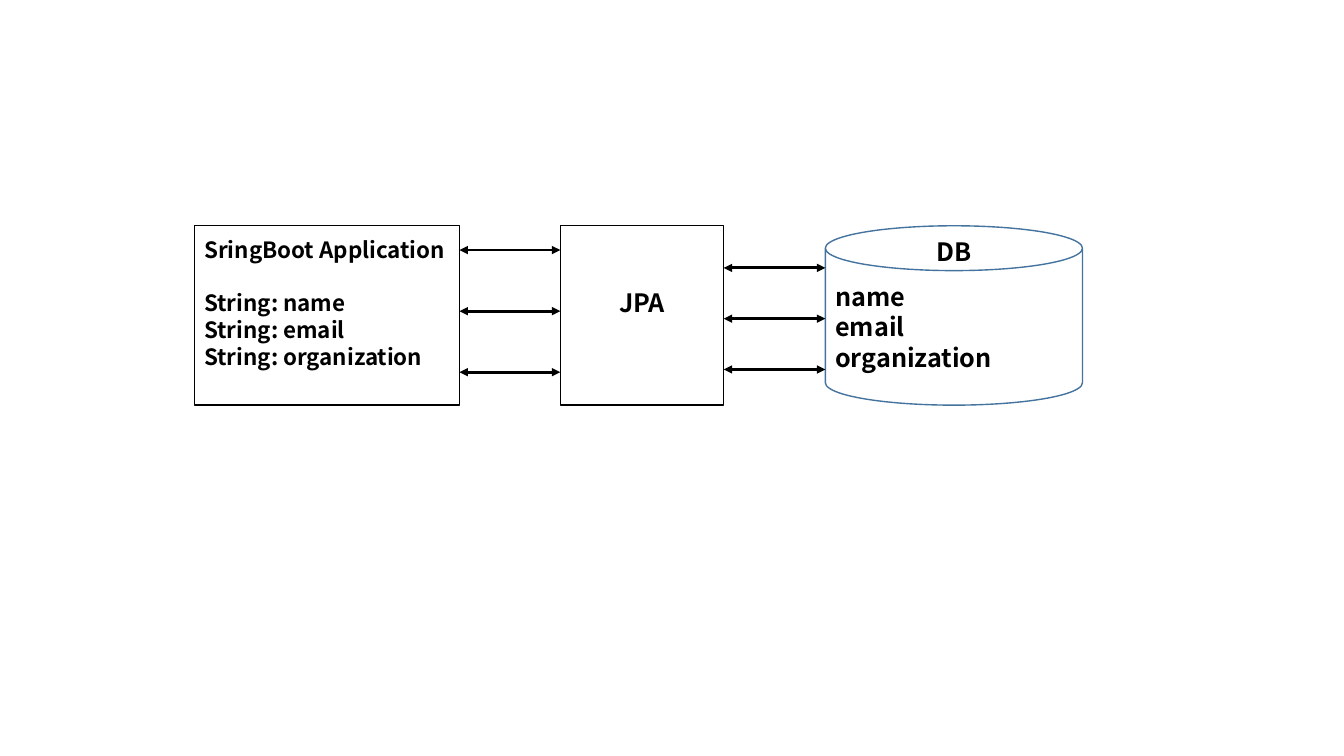
from pptx import Presentation
from pptx.dml.color import RGBColor
from pptx.enum.shapes import MSO_CONNECTOR, MSO_SHAPE
from pptx.enum.text import MSO_ANCHOR, PP_ALIGN
from pptx.oxml.ns import qn
from pptx.util import Cm, Pt
from lxml.etree import SubElement

BLACK = RGBColor(0x00, 0x00, 0x00)
WHITE = RGBColor(0xFF, 0xFF, 0xFF)
BLUE = RGBColor(0x43, 0x73, 0x9E)
FONT = "Noto Sans CJK KR"
TOP, HEIGHT = 5.69, 4.52

deck = Presentation()
deck.slide_width, deck.slide_height = Cm(33.87), Cm(19.05)
slide = deck.slides.add_slide(deck.slide_layouts[6])


def write(frame, lines, size, align=PP_ALIGN.LEFT):
    """Fill a text frame with bold lines, one paragraph each."""
    formats = {"name": FONT, "size": Pt(size), "bold": True}
    for number, line in enumerate(lines):
        paragraph = frame.paragraphs[0] if number == 0 else frame.add_paragraph()
        paragraph.alignment = align
        run = paragraph.add_run()
        run.text = line
        for key, value in formats.items():
            setattr(run.font, key, value)
        run.font.color.rgb = BLACK
        SubElement(run.font._element, qn("a:ea"), typeface=FONT)


def add_block(kind, left, width, outline):
    """Add a white outlined block and return its text frame."""
    block = slide.shapes.add_shape(kind, Cm(left), Cm(TOP), Cm(width), Cm(HEIGHT))
    block.shadow.inherit = False
    block.fill.solid()
    block.fill.fore_color.rgb = WHITE
    block.line.color.rgb = outline
    block.line.width = Pt(1)
    return block.text_frame


# Application with its fields
application = add_block(MSO_SHAPE.RECTANGLE, 4.9, 6.68, BLACK)
application.vertical_anchor = MSO_ANCHOR.TOP
application.margin_top = Cm(0.25)
write(application, ["SringBoot Application", "String: name", "String: email",
                    "String: organization"], 16)
application.paragraphs[0].space_after = Pt(19)

# Database with its columns
database = add_block(MSO_SHAPE.CAN, 20.8, 6.48, BLUE)
database.vertical_anchor = MSO_ANCHOR.MIDDLE
write(database, ["name", "email", "organization"], 18)
database_title = slide.shapes.add_textbox(Cm(23.34), Cm(5.82), Cm(1.4), Cm(1.02))
database_title.text_frame.word_wrap = False
write(database_title.text_frame, ["DB"], 18)

# JPA layer in between
jpa = add_block(MSO_SHAPE.RECTANGLE, 14.12, 4.12, BLACK)
jpa.vertical_anchor = MSO_ANCHOR.TOP
jpa.margin_top = Cm(1.54)
write(jpa, ["JPA"], 18, PP_ALIGN.CENTER)

# Two-way mappings: start, end, first height, step
for start, end, first, step in [(11.58, 14.12, 6.3, 1.54), (18.24, 20.8, 6.75, 1.28)]:
    for row in range(3):
        y = Cm(first + row * step)
        mapping = slide.shapes.add_connector(MSO_CONNECTOR.STRAIGHT, Cm(start), y, Cm(end), y)
        mapping.line.color.rgb = BLACK
        mapping.line.width = Pt(2)
        outline = mapping.line._get_or_add_ln()
        for tip in ("a:headEnd", "a:tailEnd"):
            SubElement(outline, qn(tip), type="triangle")
        SubElement(mapping._element.spPr, qn("a:effectLst"))

deck.save("out.pptx")
